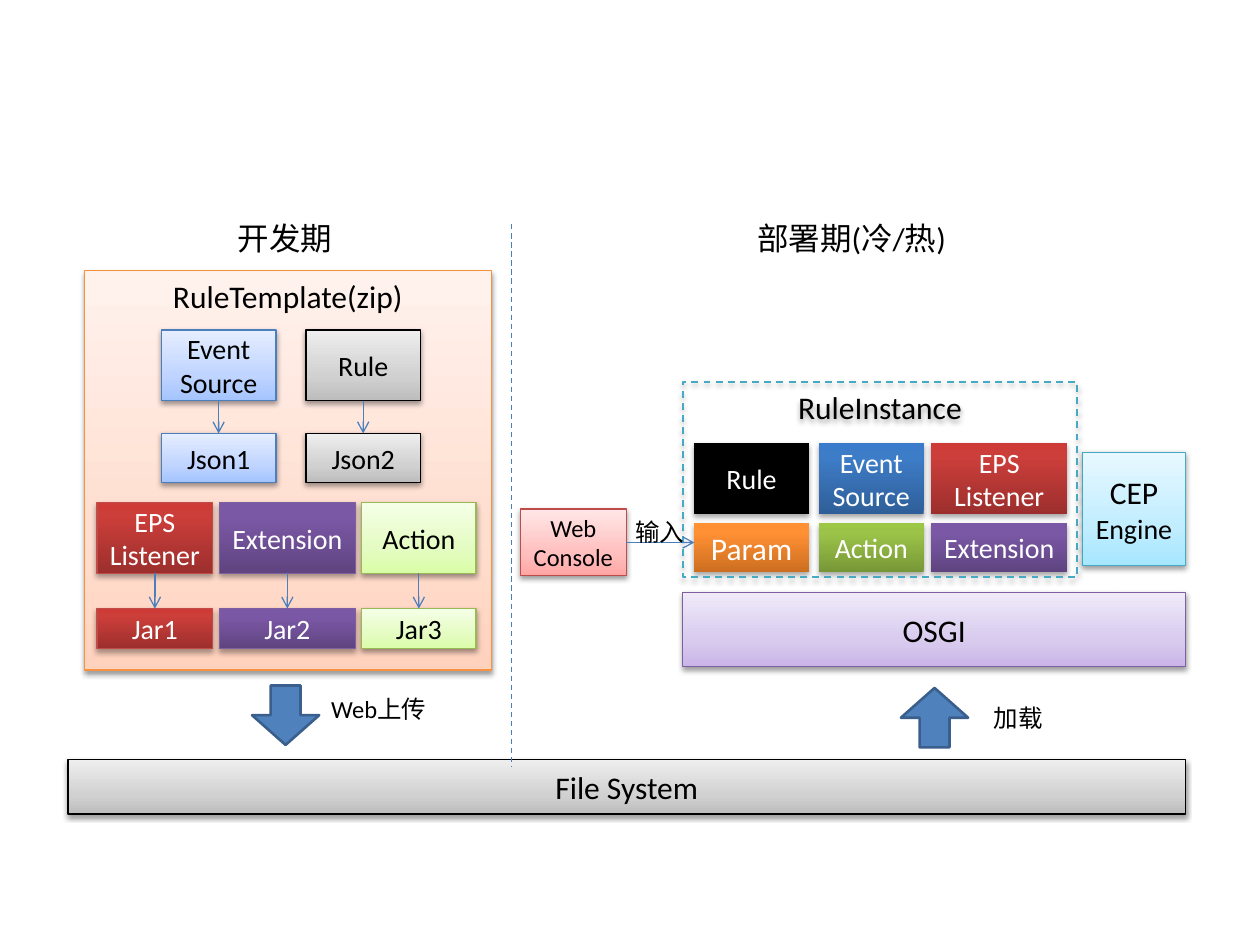
from copy import deepcopy
from lxml import etree
from pptx import Presentation
from pptx.dml.color import RGBColor
from pptx.enum import dml, shapes, text
from pptx.oxml import ns
from pptx.util import Pt

BLACK = RGBColor(0x00, 0x00, 0x00)
WHITE = RGBColor(0xFF, 0xFF, 0xFF)
WIRE = RGBColor(0x4B, 0x7E, 0xBC)
BLUE = RGBColor(0x4F, 0x81, 0xBD)
NAVY = RGBColor(0x3A, 0x5F, 0x8C)
TEAL = RGBColor(0x46, 0xAA, 0xC5)


def tone(mid, line, *hues):
    """Gradient stops from bottom to top, and the outline colour."""
    return ([(at, RGBColor.from_string(hue)) for at, hue in zip((0, mid, 1), hues)],
            RGBColor.from_string(line))


# Pale tones carry black text, deep tones white text
PEACH = tone(0.35, "F69240", "FFD2BD", "FFDED0", "FFF2ED")
AQUA = tone(0.35, "46AAC5", "A7E6FF", "C1EDFF", "E7F8FF")
SKY = tone(0.35, "4B7EBC", "A4C4FF", "BFD4FF", "E6EEFF")
GREY = tone(0.35, "000000", "BDBDBD", "D1D1D1", "EEEEEE")
LIME = tone(0.35, "98B955", "DAFDA7", "E4FCC2", "F5FFE7")
LILAC = tone(0.35, "7D60A0", "C9B5E8", "D8CBEE", "F0EAF9")
PINK = tone(0.35, "BF4C48", "FFA6A5", "FFC0BF", "FFE7E7")
PLUM = tone(0.8, "7D60A0", "5F4480", "7B58A6", "7C57A8")
RED = tone(0.8, "BF4C48", "9C2F2D", "CB3E3A", "CE3B37")
COBALT = tone(0.8, "3A7CCB", "2F5F99", "3D7CC7", "3A7CCB")
GREEN = tone(0.8, "9DC746", "779737", "9BC348", "9DC746")
AMBER = tone(0.8, "FF9136", "CC6E20", "FF9034", "FF9136")
INK = tone(0.8, "000000", "000000", "000000", "000000")
DEEP = (PLUM, RED, COBALT, GREEN, AMBER, INK)

deck = Presentation()
deck.slide_width, deck.slide_height = Pt(720), Pt(540)
slide = deck.slides.add_slide(deck.slide_layouts[6])
parts = slide.shapes


def shade(shape, deep):
    """Soft shadow below a shape."""
    shape.shadow.inherit = False
    list_ = shape.element.spPr.find(ns.qn("a:effectLst"))
    drop = etree.SubElement(list_, ns.qn("a:outerShdw"), blurRad="40000",
                            dist="23000" if deep else "20000",
                            dir="5400000", rotWithShape="0")
    hue = etree.SubElement(drop, ns.qn("a:srgbClr"), val="000000")
    etree.SubElement(hue, ns.qn("a:alpha"), val="35000" if deep else "38000")


def style(frame, size, hue=BLACK, align=None):
    for para in frame.paragraphs:
        para.alignment = align
        for run in para.runs:
            run.font.name = "Calibri"
            run.font.size = Pt(size)
            run.font.color.rgb = hue


def block(words, x, y, w, h, look=None, size=16, edge=True, top=False):
    """Shaded rectangle with centred text; without a look, a dashed frame."""
    box = parts.add_shape(shapes.MSO_SHAPE.RECTANGLE, Pt(x), Pt(y), Pt(w), Pt(h))
    deep = look in DEEP
    if look is None:
        box.fill.background()
        box.line.color.rgb = TEAL
        box.line.width = Pt(1)
        box.line.dash_style = dml.MSO_LINE.DASH
    else:
        stops, line = look
        box.fill.gradient()
        box.fill.gradient_angle = 90
        gs = box.element.spPr.find(".//" + ns.qn("a:gsLst"))
        gs.append(deepcopy(gs[-1]))
        for stop, (at, hue) in zip(box.fill.gradient_stops, stops):
            stop.position = at
            stop.color.rgb = hue
        if edge:
            box.line.color.rgb = line
            box.line.width = Pt(0.75)
        else:
            box.line.fill.background()
    shade(box, deep)
    frame = box.text_frame
    frame.word_wrap = True
    frame.vertical_anchor = text.MSO_ANCHOR.TOP if top else text.MSO_ANCHOR.MIDDLE
    frame.text = words
    style(frame, size, WHITE if deep else BLACK, text.PP_ALIGN.CENTER)
    return box


def label(words, x, y, w, h, size):
    frame = parts.add_textbox(Pt(x), Pt(y), Pt(w), Pt(h)).text_frame
    frame.word_wrap = True
    frame.text = words
    style(frame, size)


def wire(x1, y1, x2, y2, dash=False):
    """Thin line: a dashed divider or an arrow."""
    line = parts.add_connector(shapes.MSO_CONNECTOR.STRAIGHT,
                               Pt(x1), Pt(y1), Pt(x2), Pt(y2))
    line.line.color.rgb = WIRE
    line.line.width = Pt(0.75)
    if dash:
        line.line.dash_style = dml.MSO_LINE.DASH
    else:
        etree.SubElement(line.line._get_or_add_ln(), ns.qn("a:tailEnd"), type="arrow")
    etree.SubElement(line.element.spPr, ns.qn("a:effectLst"))


def arrow(x, y, turn=0):
    """Big block arrow."""
    big = parts.add_shape(shapes.MSO_SHAPE.DOWN_ARROW, Pt(x), Pt(y), Pt(38.4), Pt(34))
    big.adjustments[0] = 0.445
    big.rotation = turn
    big.fill.solid()
    big.fill.fore_color.rgb = BLUE
    big.line.color.rgb = NAVY
    big.line.width = Pt(1.5)
    big.shadow.inherit = False


def template(x, y, w, h):
    """Rule template: each part with the file it goes into."""
    block("RuleTemplate(zip)", x, y, w, h, PEACH, 18, top=True)
    rows = (
        (33.8, 92.9, 28, (("Event\nSource", "Json1", 44, 65.5, SKY),
                          ("Rule", "Json2", 126.6, 65.5, GREY))),
        (132.5, 193, 23, (("EPS\nListener", "Jar1", 7.2, 66.2, RED),
                          ("Extension", "Jar2", 77.1, 77.8, PLUM),
                          ("Action", "Jar3", 158.4, 65.5, LIME))),
    )
    for up, low, tall, pairs in rows:
        for part, file, left, wide, look in pairs:
            block(part, x + left, y + up, wide, 40.3, look)
            block(file, x + left, y + low, wide, tall, look)
            mid = x + left + wide / 2
            wire(mid, y + up + 40.3, mid, y + low)


def instance(x, y, w, h):
    """Rule instance: two rows of three parts in a dashed frame."""
    cols = ((6.5, 65.5, ("Rule", INK, 16), ("Param", AMBER, 18)),
            (77.8, 59.8, ("Event\nSource", COBALT, 16), ("Action", GREEN, 16)),
            (141.9, 77.8, ("EPS\nListener", RED, 16), ("Extension", PLUM, 16)))
    for left, wide, *cells in cols:
        for (words, look, size), top, tall in zip(cells, (35.2, 80.8), (40.3, 28)):
            block(words, x + left, y + top, wide, tall, look, size, edge=False)
    block("RuleInstance", x, y, w, h, size=18, top=True)


def engine(x, y, w, h):
    """Engine box with two text sizes."""
    frame = block("CEP ", x, y, w, h, AQUA, 18).text_frame
    frame.paragraphs[0].add_run().text = "Engine"
    style(frame, 16, BLACK, text.PP_ALIGN.CENTER)
    frame.paragraphs[0].runs[0].font.size = Pt(18)


def console(x, y, w, h):
    """Web console and its input arrow."""
    block("Web\nConsole", x, y, w, h, PINK, 14)
    wire(x + w, y + h / 2, x + w + 38.9, y + h / 2)
    label("输入", x + w - 2, y + 1.2, 42.5, 24.5, 14)


# Development side
template(48.2, 154.8, 232.6, 228.2)
label("开发期", 128.9, 121.7, 69.1, 28.8, 18)

# Base and divider
block("File System", 38.9, 434.2, 638.6, 31, GREY, 18)
wire(292.3, 128.2, 292.3, 438.5, dash=True)

# Deployment side
label("部署期(冷/热)", 425.5, 121.7, 123.8, 28.8, 18)
block("OSGI", 390.2, 338.4, 287.3, 42.5, LILAC, 18)
engine(618.5, 258.5, 59, 64.8)
instance(390.2, 218.2, 225.4, 111.6)
console(297.4, 290.9, 60.5, 38.2)

# Upload and load
arrow(144, 391.7)
label("Web上传", 182.2, 393.1, 69.1, 24.5, 14)
arrow(514.8, 393.1, 180)
label("加载", 560.9, 398.2, 42.5, 24.5, 14)

deck.save("out.pptx")
